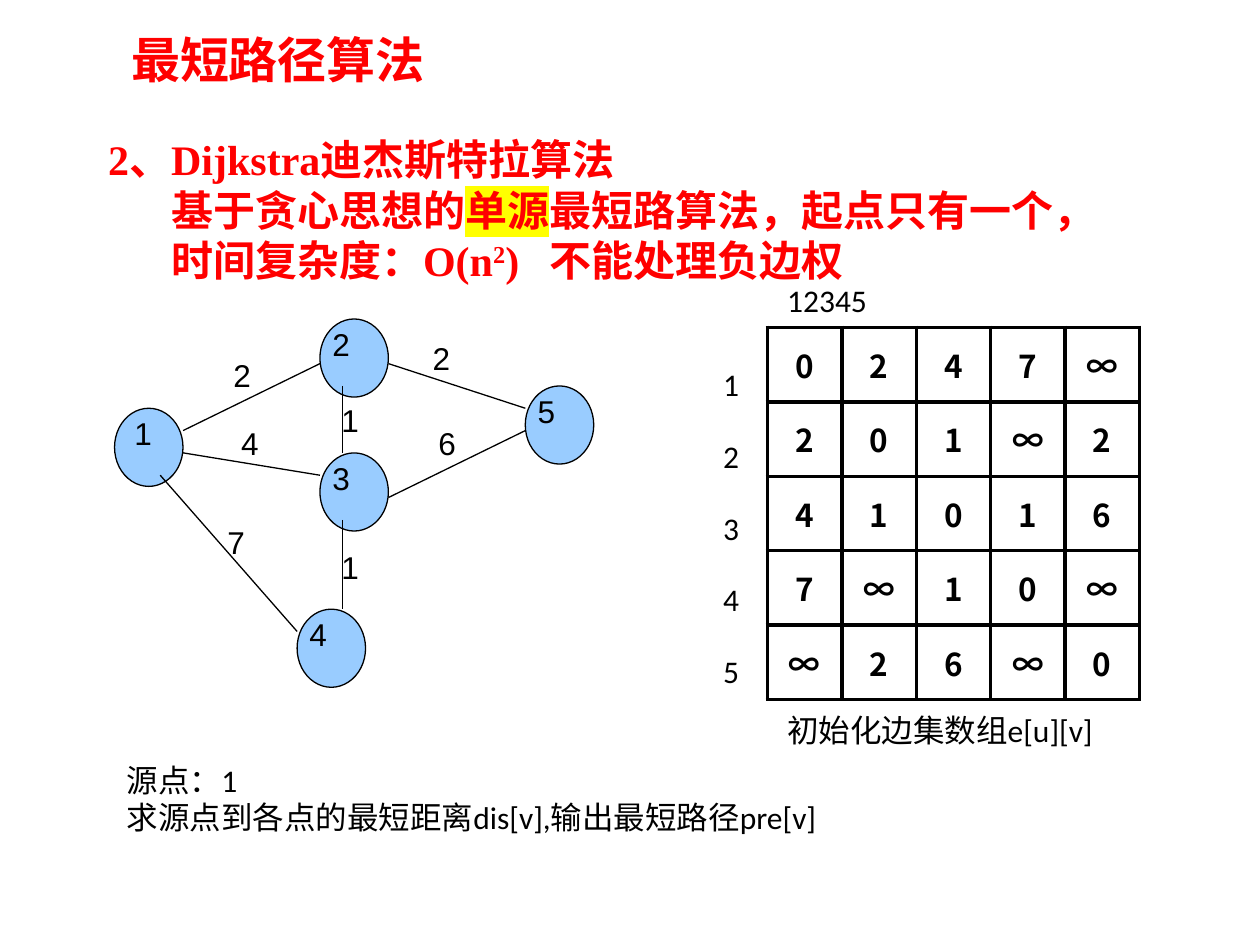
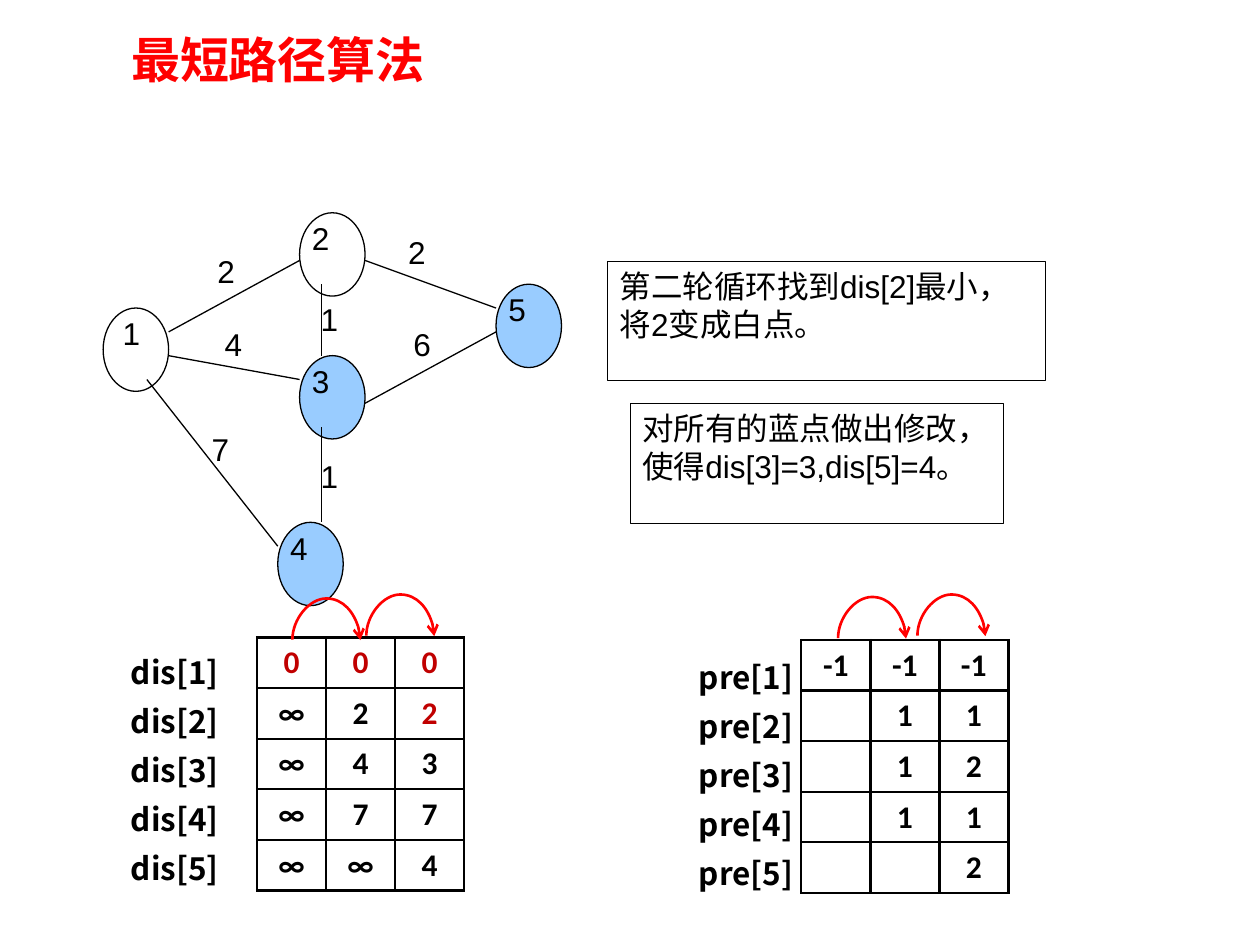
from lxml.etree import SubElement
from pptx import Presentation
from pptx.dml.color import RGBColor
from pptx.enum.shapes import MSO_CONNECTOR, MSO_SHAPE
from pptx.enum.text import MSO_ANCHOR, MSO_AUTO_SIZE, PP_ALIGN
from pptx.oxml.ns import qn
from pptx.util import Cm, Pt

BLACK = RGBColor(0x00, 0x00, 0x00)
RED = RGBColor(0xFF, 0x00, 0x00)
DARK_RED = RGBColor(0xC0, 0x00, 0x00)
BLUE = RGBColor(0x99, 0xCC, 0xFF)
YELLOW = RGBColor(0xFF, 0xFF, 0x00)
ARIAL, CALIBRI, TIMES, NOTO = "Arial", "Calibri", "Times New Roman", "Noto Sans CJK SC"

# Graph geometry, in grid units from the top left of the graph
NODES = {"1": (0, 4), "2": (9, 0), "4": (8, 13), "3": (9, 6), "5": (18, 3)}
NODE_SIZE = (3, 3.5)
EDGES = [
    ((3, 5), (9, 2)), ((2, 7), (8, 14)), ((3, 6), (9, 7)), ((10, 3), (10, 6)),
    ((10, 9), (10, 13)), ((12, 8), (18, 5)), ((12, 2), (18, 4)),
]
WEIGHTS = [
    ("2", 4.67, 1.4), ("4", 5, 4.45), ("7", 4.4, 8.85), ("1", 9.4, 3.4),
    ("1", 9.4, 10), ("6", 13.65, 4.45), ("2", 13.4, 0.6),
]
WHITE_NODE_1_OFFSET = 0.33


class Deck:
    """Holds the shared style and the slide being built; lengths are in cm."""

    title = "最短路径算法"

    def __init__(self):
        self.prs = Presentation()
        self.prs.slide_width, self.prs.slide_height = Cm(25.4), Cm(19.05)
        self.slide = None

    def new_slide(self):
        self.slide = self.prs.slides.add_slide(self.prs.slide_layouts[5])
        heading = self.slide.shapes.title
        heading.left, heading.top = Cm(2.39), Cm(0.46)
        heading.width, heading.height = Cm(7.39), Cm(1.42)
        frame = heading.text_frame
        frame.text = self.title
        frame.word_wrap = False
        frame.auto_size = MSO_AUTO_SIZE.NONE
        frame.vertical_anchor = MSO_ANCHOR.TOP
        frame.paragraphs[0].alignment = PP_ALIGN.LEFT
        self.style(frame, 28, CALIBRI, RED, True)

    def style(self, frame, size=18, face=CALIBRI, color=BLACK, bold=False):
        for paragraph in frame.paragraphs:
            for run in paragraph.runs:
                font = run.font
                font.size, font.name, font.bold = Pt(size), face, bold
                font.color.rgb = color
                east_asian = NOTO if face == NOTO else CALIBRI
                SubElement(run._r.get_or_add_rPr(), qn("a:ea")).set("typeface", east_asian)

    def text(self, left, top, width, height, lines, spacing=None, **look):
        box = self.slide.shapes.add_textbox(Cm(left), Cm(top), Cm(width), Cm(height))
        frame = box.text_frame
        frame.word_wrap = True
        frame.text = lines
        for paragraph in frame.paragraphs:
            paragraph.line_spacing = spacing
        self.style(frame, **look)
        return frame

    def shape(self, kind, left, top, width, height, fill=None, weight=0.75):
        outline = self.slide.shapes.add_shape(kind, Cm(left), Cm(top), Cm(width), Cm(height))
        outline.shadow.inherit = False
        outline.line.color.rgb = BLACK
        outline.line.width = Pt(weight)
        if fill is None:
            outline.fill.background()
        else:
            outline.fill.solid()
            outline.fill.fore_color.rgb = fill
        return outline

    def note(self, left, top, width, height, message):
        frame = self.shape(MSO_SHAPE.RECTANGLE, left, top, width, height, weight=0.25).text_frame
        frame.word_wrap = True
        frame.vertical_anchor = MSO_ANCHOR.TOP
        frame.text = message
        frame.paragraphs[0].alignment = PP_ALIGN.LEFT
        self.style(frame, face=ARIAL)

    def line(self, start, end, color=BLACK, weight=0.75, kind=MSO_CONNECTOR.STRAIGHT):
        link = self.slide.shapes.add_connector(kind, *(Cm(v) for v in (*start, *end)))
        link.line.color.rgb = color
        link.line.width = Pt(weight)
        SubElement(link._element.spPr, qn("a:effectLst"))
        return link

    def hop(self, left, base):
        """Draws an arched arrow that steps from one column to the next."""
        span, thickness, rise = 1.37, 0.01, 0.83
        middle = left + span / 2
        arc = self.line((middle, base - span / 2), (middle + thickness, base + span / 2),
                        RED, 1.5, MSO_CONNECTOR.CURVE)
        properties = arc._element.spPr
        frame = properties.find(qn("a:xfrm"))
        frame.set("rot", "16200000")
        frame.set("flipH", "1")
        geometry = properties.find(qn("a:prstGeom"))
        values = geometry.find(qn("a:avLst"))
        if values is None:
            values = SubElement(geometry, qn("a:avLst"))
        bend = SubElement(values, qn("a:gd"))
        bend.set("name", "adj1")
        bend.set("fmla", f"val {round(-rise / thickness * 100000)}")
        SubElement(properties.find(qn("a:ln")), qn("a:tailEnd")).set("type", "arrow")

    def table(self, left, top, rows, cell_width, cell_height, border, face, red_rows=()):
        grid = self.slide.shapes.add_table(
            len(rows), len(rows[0]), Cm(left), Cm(top),
            Cm(cell_width * len(rows[0])), Cm(cell_height * len(rows))).table
        grid.first_row = grid.horz_banding = False
        for column in grid.columns:
            column.width = Cm(cell_width)
        for r, row in enumerate(rows):
            grid.rows[r].height = Cm(cell_height)
            for c, value in enumerate(row):
                cell = grid.cell(r, c)
                cell.text = value
                cell.vertical_anchor = MSO_ANCHOR.MIDDLE
                cell.text_frame.paragraphs[0].alignment = PP_ALIGN.CENTER
                self.style(cell.text_frame, face=face, bold=True,
                           color=DARK_RED if r in red_rows else BLACK)
                cell.fill.background()
                self.border(cell, border)

    def border(self, cell, weight):
        properties = cell._tc.get_or_add_tcPr()
        for position, side in enumerate(("a:lnL", "a:lnR", "a:lnT", "a:lnB")):
            edge = SubElement(properties, qn(side))
            edge.set("w", str(Pt(weight)))
            fill = SubElement(edge, qn("a:solidFill"))
            SubElement(fill, qn("a:srgbClr")).set("val", str(BLACK))
            properties.insert(position, edge)

    def graph(self, left, top, unit_x, unit_y, white_nodes=""):
        def place(x, y):
            return left + x * unit_x, top + y * unit_y

        width, height = NODE_SIZE[0] * unit_x, NODE_SIZE[1] * unit_y
        for node, corner in NODES.items():
            fill = None if node in white_nodes else BLUE
            self.shape(MSO_SHAPE.OVAL, *place(*corner), width, height, fill)
        for start, end in EDGES:
            self.line(place(*start), place(*end))
        labels = [(node, x + (WHITE_NODE_1_OFFSET if node == "1" else 0), y)
                  for node, (x, y) in NODES.items()]
        for label, x, y in labels + WEIGHTS:
            self.text(*place(x, y), width, 3 * unit_y, label, face=ARIAL)

    def history(self, left, top, columns, red_rows):
        """Draws one single-column table per round, side by side."""
        for i, (values, red) in enumerate(zip(columns, red_rows)):
            self.table(left + i * 1.39, top, [[v] for v in values], 1.4, 1.02, 1.5, CALIBRI, red)


def highlight(run, color):
    mark = SubElement(run._r.get_or_add_rPr(), qn("a:highlight"))
    SubElement(mark, qn("a:srgbClr")).set("val", str(color))
    run._r.rPr.find(qn("a:latin")).addprevious(mark)


def introduction(deck):
    deck.new_slide()
    deck.graph(2.31, 6.43, 0.46, 0.45)

    summary = deck.text(1.93, 2.57, 22.1, 3.33, "2、Dijkstra迪杰斯特拉算法\n\n")
    idea, complexity = summary.paragraphs[1:]
    for paragraph, parts in (
        (idea, ("基于贪心思想的", "单源", "最短路算法，起点只有一个，")),
        (complexity, ("时间复杂度：O(n", "2", ")\t不能处理负边权")),
    ):
        properties = paragraph._p.get_or_add_pPr()
        properties.set("marL", "0")
        properties.set("indent", str(Cm(1.27)))
        for part in parts:
            paragraph.add_run().text = part
    stop = SubElement(SubElement(complexity._p.pPr, qn("a:tabLst")), qn("a:tab"))
    stop.set("pos", str(Cm(9.78)))
    stop.set("algn", "l")
    for run in summary.paragraphs[0].runs:
        run._r.rPr.clear() if run._r.rPr is not None else None
        for face in run._r.findall(qn("a:rPr")):
            run._r.remove(face)
    deck.style(summary, 24, TIMES, RED, True)
    highlight(idea.runs[1], YELLOW)
    complexity.runs[1]._r.rPr.set("baseline", "30000")

    deck.text(15.62, 5.54, 6.93, 1.02, "12345")
    deck.text(14.33, 6.55, 1.14, 7.54, "\n".join("12345"), spacing=1.9)
    matrix = ["0247∞", "201∞2", "41016", "7∞10∞", "∞26∞0"]
    deck.table(15.47, 6.6, matrix, 1.5, 1.5, 2.25, NOTO)
    deck.text(15.62, 14.2, 7.06, 1.02, "初始化边集数组e[u][v]")
    deck.text(2.31, 15.21, 14.58, 1.8, "源点：1\n求源点到各点的最短距离dis[v],输出最短路径pre[v]")


def second_round(deck):
    deck.new_slide()
    deck.graph(2.08, 4.29, 0.44, 0.48, white_nodes="12")
    deck.note(12.24, 5.26, 8.84, 2.41, "第二轮循环找到dis[2]最小，将2变成白点。")
    deck.note(12.7, 8.13, 7.52, 2.41, "对所有的蓝点做出修改，使得dis[3]=3,dis[5]=4。")

    for name, left, top in (("dis", 2.39, 12.82), ("pre", 13.84, 12.92)):
        rows = "\n".join(f"{name}[{i}]" for i in range(1, 6))
        deck.text(left, top, 2.59, 5.11, rows, spacing=Pt(28), face=NOTO, bold=True)
    deck.history(5.18, 12.85, ["0∞∞∞∞", "0247∞", "02374"], [{0}, {0}, {0, 1}])
    parents = [["-1", "", "", "", ""], ["-1", "1", "1", "1", ""], ["-1", "1", "2", "1", "2"]]
    deck.history(16.15, 12.9, parents, [(), (), ()])
    for left, base in ((5.89, 12.9), (7.38, 12.82), (16.89, 12.87), (18.49, 12.82)):
        deck.hop(left, base)


def main():
    deck = Deck()
    introduction(deck)
    second_round(deck)
    deck.prs.save("out.pptx")


if __name__ == "__main__":
    main()
